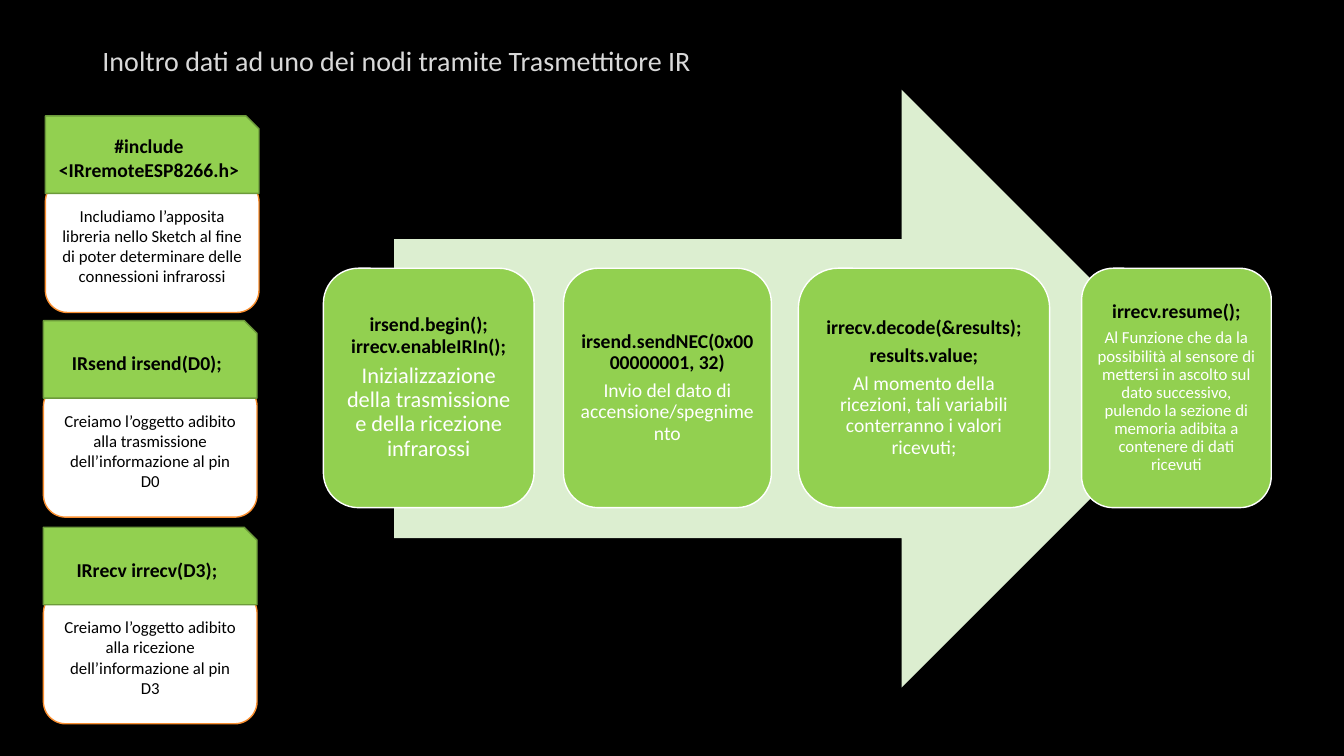
import pptx
import pptx.dml.color
import pptx.enum.shapes
import pptx.enum.text
import pptx.util

Pt = pptx.util.Pt
RGBColor = pptx.dml.color.RGBColor
SHAPE = pptx.enum.shapes.MSO_SHAPE
ALIGN = pptx.enum.text.PP_ALIGN
ANCHOR = pptx.enum.text.MSO_ANCHOR

FONT = "Calibri"
BLACK = RGBColor(0x00, 0x00, 0x00)
WHITE = RGBColor(0xFF, 0xFF, 0xFF)
GREY = RGBColor(0xD9, 0xD9, 0xD9)
GREEN = RGBColor(0x92, 0xD0, 0x50)
DARK_GREEN = RGBColor(0x6C, 0x9A, 0x3B)
PALE_GREEN = RGBColor(0xDC, 0xEE, 0xD0)
ORANGE = RGBColor(0xFA, 0x8F, 0x30)

# Declaration cards: left, top, code, explanation
CARDS = [
    (32.4, 82.8, "#include <IRremoteESP8266.h>",
     "Includiamo l’apposita libreria nello Sketch al fine di poter "
     "determinare delle connessioni infrarossi"),
    (31, 229, "IRsend irsend(D0);",
     "Creiamo l’oggetto adibito alla trasmissione dell’informazione al pin D0"),
    (31, 376.6, "IRrecv irrecv(D3);",
     "Creiamo l’oggetto adibito alla ricezione dell’informazione al pin D3"),
]
CARD_WIDTH = 152.6

# Steps on the arrow: left, width, code lines, explanation, its size
STEPS = [
    (231, 150.5, ["irsend.begin(); irrecv.enableIRIn();"],
     "Inizializzazione della trasmissione e della ricezione infrarossi", 16),
    (402.5, 148.5, ["irsend.sendNEC(0x0000000001, 32)"],
     "Invio del dato di accensione/spegnimento", 14),
    (570.3, 179.5, ["irrecv.decode(&results);", "results.value;"],
     "Al momento della ricezioni, tali variabili conterranno i valori ricevuti;", 14),
    (772.6, 135.5, ["irrecv.resume();"],
     "Al Funzione che da la possibilità al sensore di mettersi in ascolto sul "
     "dato successivo, pulendo la sezione di memoria adibita a contenere di "
     "dati ricevuti", 12),
]


def set_font(para, size, color, bold=False):
    para.font.name = FONT
    para.font.size = Pt(size)
    para.font.color.rgb = color
    para.font.bold = bold


def add_box(page, kind, left, top, width, height, fill, line=None):
    box = page.shapes.add_shape(kind, Pt(left), Pt(top), Pt(width), Pt(height))
    box.shadow.inherit = False
    box.fill.solid()
    box.fill.fore_color.rgb = fill
    if line is None:
        box.line.fill.background()
    else:
        box.line.color.rgb = line
        box.line.width = Pt(1)
    box.text_frame.word_wrap = True
    box.text_frame.vertical_anchor = ANCHOR.MIDDLE
    return box


def write_centred(box, text, size, color, bold=False):
    para = box.text_frame.paragraphs[0]
    if para.text:
        para = box.text_frame.add_paragraph()
    para.text = text
    para.alignment = ALIGN.CENTER
    set_font(para, size, color, bold)
    return para


def add_title(page, text):
    title = page.shapes.title
    title.left, title.top, title.width, title.height = Pt(66), Pt(30), Pt(879), Pt(36)
    frame = title.text_frame
    frame.text = text
    frame.word_wrap = True
    frame.auto_size = pptx.enum.text.MSO_AUTO_SIZE.NONE
    frame.vertical_anchor = ANCHOR.TOP
    para = frame.paragraphs[0]
    para.alignment = ALIGN.LEFT
    para.line_spacing = 0.9
    set_font(para, 20, GREY)


def add_card(page, left, top, code, explanation):
    body = add_box(page, SHAPE.ROUNDED_RECTANGLE, left, top + 45.4,
                   CARD_WIDTH, 95, WHITE, ORANGE)
    write_centred(body, explanation, 12, BLACK)
    header = add_box(page, SHAPE.SNIP_1_RECTANGLE, left, top,
                     CARD_WIDTH, 55.4, GREEN, DARK_GREEN)
    write_centred(header, code, 14, BLACK, bold=True)


def add_step(page, left, width, code_lines, explanation, size):
    box = add_box(page, SHAPE.ROUNDED_RECTANGLE, left, 191.6, width, 171, GREEN, WHITE)
    frame = box.text_frame
    frame.margin_left = frame.margin_right = Pt(4.3)
    frame.margin_top = frame.margin_bottom = Pt(4.3)
    paras = [write_centred(box, code, 14, BLACK, bold=True) for code in code_lines]
    paras.append(write_centred(box, explanation, size, WHITE))
    for para in paras:
        para.line_spacing = 0.9
        para.space_after = Pt(0.35 * para.font.size.pt)


def main():
    deck = pptx.Presentation()
    deck.slide_width, deck.slide_height = Pt(960), Pt(540)
    page = deck.slides.add_slide(deck.slide_layouts.get_by_name("Title Only"))
    page.background.fill.solid()
    page.background.fill.fore_color.rgb = BLACK
    add_title(page, "Inoltro dati ad uno dei nodi tramite Trasmettitore IR")

    # Process arrow with its steps
    add_box(page, SHAPE.RIGHT_ARROW, 281.5, 64.1, 576, 427, PALE_GREEN)
    for step in STEPS:
        add_step(page, *step)

    # Column of declarations
    for card in CARDS:
        add_card(page, *card)

    deck.save("out.pptx")


if __name__ == "__main__":
    main()
